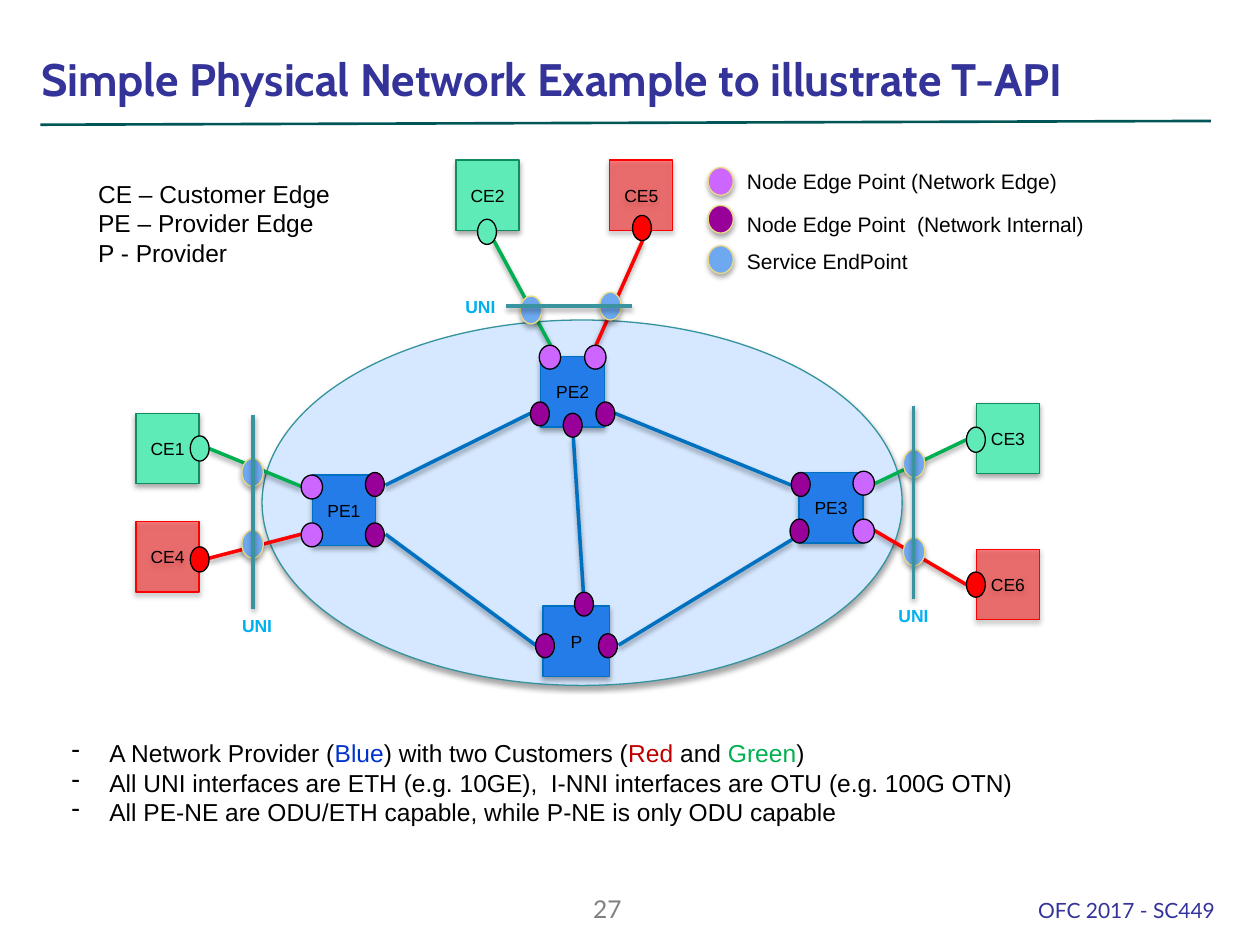
from lxml import etree
from pptx import Presentation
from pptx.dml.color import RGBColor
from pptx.enum.shapes import MSO_CONNECTOR, MSO_SHAPE
from pptx.enum.text import MSO_ANCHOR, PP_ALIGN
from pptx.oxml.ns import qn
from pptx.util import Inches, Pt

RECT, OVAL, STRAIGHT = MSO_SHAPE.RECTANGLE, MSO_SHAPE.OVAL, MSO_CONNECTOR.STRAIGHT
LEFT, CENTER, RIGHT = PP_ALIGN.LEFT, PP_ALIGN.CENTER, PP_ALIGN.RIGHT
TOP, MIDDLE, BOTTOM = MSO_ANCHOR.TOP, MSO_ANCHOR.MIDDLE, MSO_ANCHOR.BOTTOM

BLACK = RGBColor(0x00, 0x00, 0x00)
INDIGO = RGBColor(0x33, 0x33, 0x99)
GRAY = RGBColor(0x80, 0x80, 0x80)
RULE = RGBColor(0x00, 0x55, 0x57)
CLOUD = RGBColor(0xD6, 0xE8, 0xFF)
CLOUD_EDGE = RGBColor(0x35, 0x93, 0x9E)
NODE = RGBColor(0x24, 0x7C, 0xE8)
LINK = RGBColor(0x00, 0x70, 0xC0)
RED = RGBColor(0xFF, 0x00, 0x00)
GREEN = RGBColor(0x00, 0xB0, 0x50)
MINT = RGBColor(0x5F, 0xEB, 0xB7)
MINT_EDGE = RGBColor(0x11, 0x8C, 0x5E)
INTERNAL = RGBColor(0x99, 0x00, 0x99)
EDGE = RGBColor(0xCC, 0x66, 0xFF)
SERVICE = RGBColor(0x6D, 0xA8, 0xF0)
SAND = RGBColor(0xEB, 0xDA, 0x84)
UNI_LINE = RGBColor(0x39, 0x94, 0x9F)
UNI_TEXT = RGBColor(0x00, 0xB0, 0xF0)
WORD_BLUE = RGBColor(0x00, 0x33, 0xCC)
WORD_RED = RGBColor(0xC0, 0x00, 0x00)


def set_effects(shape, alpha=None):
    """Give a shape a soft shadow below it, or none when alpha is None."""
    properties = shape._element.spPr
    for old in properties.findall(qn("a:effectLst")):
        properties.remove(old)
    effects = etree.SubElement(properties, qn("a:effectLst"))
    if alpha:
        shadow = etree.SubElement(effects, qn("a:outerShdw"), blurRad=str(Pt(3.1)),
                                  dist=str(Pt(1.8)), dir="5400000", rotWithShape="0")
        color = etree.SubElement(shadow, qn("a:srgbClr"), val="000000")
        etree.SubElement(color, qn("a:alpha"), val=str(alpha * 1000))


def add_shape(page, kind, left, top, width, height, fill, line, shadow=35):
    shape = page.shapes.add_shape(kind, Inches(left), Inches(top), Inches(width), Inches(height))
    shape.fill.solid()
    shape.fill.fore_color.rgb = fill
    shape.line.color.rgb = line
    shape.line.width = Pt(0.75)
    set_effects(shape, shadow)
    return shape


def add_line(page, start, end, color, width=2, shadow=38):
    line = page.shapes.add_connector(STRAIGHT, *[Inches(n) for n in (*start, *end)])
    line.line.color.rgb = color
    line.line.width = Pt(width)
    set_effects(line, shadow)


def style(para, size, color, name="Arial", bold=False, align=LEFT):
    para.alignment = align
    para.font.size = Pt(size)
    para.font.name = name
    para.font.bold = bold
    para.font.color.rgb = color


def add_text(page, left, top, width, height, lines, size, color=BLACK, anchor=TOP, **looks):
    box = page.shapes.add_textbox(Inches(left), Inches(top), Inches(width), Inches(height))
    frame = box.text_frame
    frame.word_wrap = True
    frame.vertical_anchor = anchor
    frame.text = "\n".join(lines)
    for para in frame.paragraphs:
        style(para, size, color, **looks)
    return frame


def add_node(page, left, top, width, label, fill, line):
    node = add_shape(page, RECT, left, top, width, 0.56, fill, line)
    frame = node.text_frame
    frame.margin_left = frame.margin_right = 0
    frame.vertical_anchor = MIDDLE
    frame.text = label
    style(frame.paragraphs[0], 10, BLACK, align=CENTER)
    return node


def draw_header(page, left, top):
    add_text(page, left, top, 9.36, 0.55, ["Simple Physical Network Example to illustrate T-API"],
             26, INDIGO, anchor=BOTTOM, name="Cabin", bold=True)
    add_line(page, (left + 0.09, top + 0.65), (left + 9.38, top + 0.62), RULE, 1.5, None)


def draw_network(page, left, top):
    def at(x, y):
        return left + x, top + y

    # Provider cloud and its nodes
    add_shape(page, OVAL, *at(1, 1.27), 5.08, 2.9, CLOUD, CLOUD_EDGE)
    for label, x, y, width in [("PE3", 5.26, 2.48, 0.51), ("PE1", 1.4, 2.5, 0.5),
                               ("PE2", 3.21, 1.56, 0.51), ("P", 3.23, 3.54, 0.53)]:
        add_node(page, *at(x, y), width, label, NODE, LINK)

    # Links inside the provider network
    for start, end in [((1.98, 2.97), (3.17, 3.85)), ((1.98, 2.58), (3.13, 2.01)),
                       ((3.55, 3.43), (3.47, 2.2)), ((5.2, 2.58), (3.8, 2.01)),
                       ((3.83, 3.85), (5.21, 3.01))]:
        add_line(page, at(*start), at(*end), LINK)

    # Customers: label, node corner, link start and end, port corner
    customers = {
        GREEN: [("CE1", (0, 2.01), (0.58, 2.29), (1.31, 2.59), (0.43, 2.19)),
                ("CE2", (2.54, 0), (2.84, 0.64), (3.29, 1.47), (2.71, 0.47)),
                ("CE3", (6.67, 1.93), (6.59, 2.22), (5.86, 2.57), (6.59, 2.12))],
        RED: [("CE4", (0, 2.87), (0.58, 3.16), (1.31, 2.97), (0.43, 3.07)),
              ("CE5", (3.76, 0), (4.02, 0.64), (3.65, 1.47), (3.94, 0.44)),
              ("CE6", (6.67, 3.09), (6.59, 3.37), (5.86, 2.94), (6.59, 3.27))],
    }
    for color, sites in customers.items():
        fill, line = (MINT, MINT_EDGE) if color == GREEN else (RED, RED)
        for label, corner, start, end, port in sites:
            node = add_node(page, *at(*corner), 0.5, label, fill, line)
            if color == RED:
                tint = node._element.spPr.find(qn("a:solidFill"))[0]
                etree.SubElement(tint, qn("a:alpha"), val="49000")
            add_line(page, at(*start), at(*end), color)
            add_shape(page, OVAL, *at(*port), 0.15, 0.2, fill, BLACK, None)

    # Service end points, crossed by the UNI lines
    for x, y in [(0.84, 2.94), (0.84, 2.37), (3.05, 1.08), (3.68, 1.05), (6.09, 2.3), (6.09, 3)]:
        add_shape(page, OVAL, *at(x, y), 0.17, 0.22, SERVICE, SAND)
    for start, end, corner, align in [((0.93, 2.02), (0.93, 3.56), (0.66, 3.56), CENTER),
                                      ((6.17, 1.95), (6.17, 3.48), (5.87, 3.48), CENTER),
                                      ((3.94, 1.16), (2.94, 1.16), (2.35, 1.03), RIGHT)]:
        add_line(page, at(*start), at(*end), UNI_LINE)
        add_text(page, *at(*corner), 0.6, 0.27, ["UNI"], 10, UNI_TEXT, bold=True, align=align)

    # Node edge points
    internal = [(1.82, 2.48), (1.82, 2.88), (3.13, 1.92), (3.39, 2.01), (3.65, 1.92),
                (3.48, 3.43), (3.17, 3.76), (3.67, 3.76), (5.19, 2.85), (5.2, 2.48)]
    edge = [(1.31, 2.88), (1.31, 2.5), (5.69, 2.85), (5.69, 2.47), (3.56, 1.47), (3.2, 1.47)]
    for points, width, fill in [(internal, 0.15, INTERNAL), (edge, 0.17, EDGE)]:
        for x, y in points:
            add_shape(page, OVAL, *at(x, y), width, 0.19, fill, BLACK, None)


def draw_legend(page, left, top):
    for label, color, dot, text in [
            ("Node Edge Point (Network Edge)", EDGE, 0.04, 0),
            ("Node Edge Point  (Network Internal)", INTERNAL, 0.34, 0.34),
            ("Service EndPoint", SERVICE, 0.66, 0.63)]:
        add_shape(page, OVAL, left, top + dot, 0.2, 0.22, color, SAND)
        add_text(page, left + 0.21, top + text, 3.56, 0.3, [label], 12)


def draw_notes(page, left, top):
    frame = add_text(page, left, top, 9.13, 0.81, [
        "",
        "All UNI interfaces are ETH (e.g. 10GE),  I-NNI interfaces are OTU (e.g. 100G OTN)",
        "All PE-NE are ODU/ETH capable, while P-NE is only ODU capable"], 14)
    for words, color in [("A Network Provider (", BLACK), ("Blue", WORD_BLUE),
                         (") with two Customers (", BLACK), ("Red", WORD_RED),
                         (" and ", BLACK), ("Green", GREEN), (")", BLACK)]:
        span = frame.paragraphs[0].add_run()
        span.text = words
        span.font.color.rgb = color
    for para in frame.paragraphs:
        properties = para._p.get_or_add_pPr()
        properties.set("marL", str(Inches(0.3)))
        properties.set("indent", str(Inches(-0.3)))
        bullet = etree.Element(qn("a:buChar"), char="-")
        properties.insert(0, bullet)


def draw_footer(page, left, top):
    add_text(page, left, top, 0.96, 0.4, ["27"], 14, GRAY, name="Lato", align=CENTER)
    add_text(page, left + 3.8, top + 0.02, 1.8, 0.28, ["OFC 2017 - SC449"], 12, INDIGO, name="Lato")


def main():
    deck = Presentation()
    deck.slide_width, deck.slide_height = Inches(10), Inches(7.5)
    page = deck.slides.add_slide(deck.slide_layouts[6])
    draw_header(page, 0.23, 0.34)
    draw_network(page, 1.08, 1.27)
    add_text(page, 0.68, 1.37, 2.68, 0.81,
             ["CE – Customer Edge", "PE – Provider Edge", "P - Provider"], 14)
    draw_legend(page, 5.62, 1.29)
    draw_notes(page, 0.47, 5.81)
    draw_footer(page, 4.34, 7.05)
    deck.save("out.pptx")


if __name__ == "__main__":
    main()
